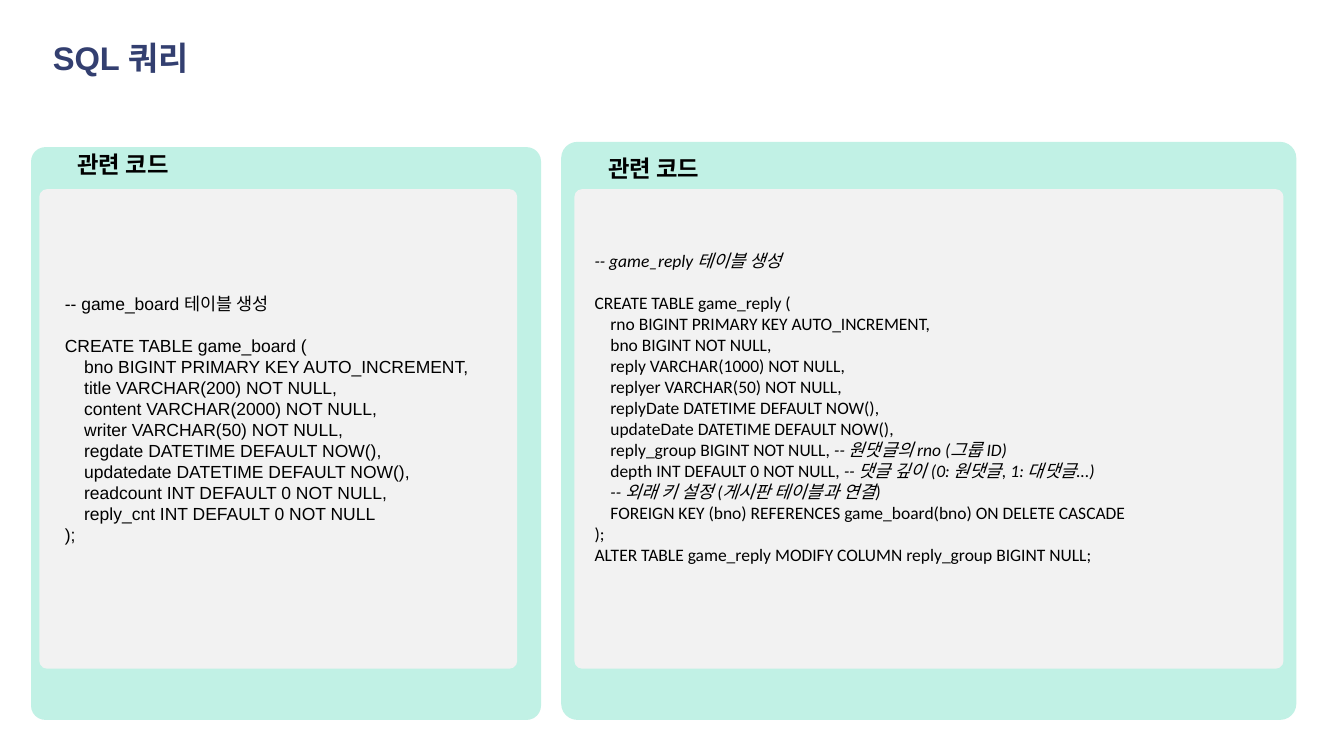
from pptx import Presentation
from pptx.dml.color import RGBColor
from pptx.enum.shapes import MSO_SHAPE
from pptx.util import Cm, Pt

BOARD = """-- game_board 테이블 생성
CREATE TABLE game_board (
    bno BIGINT PRIMARY KEY AUTO_INCREMENT,
    title VARCHAR(200) NOT NULL,
    content VARCHAR(2000) NOT NULL,
    writer VARCHAR(50) NOT NULL,
    regdate DATETIME DEFAULT NOW(),
    updatedate DATETIME DEFAULT NOW(),
    readcount INT DEFAULT 0 NOT NULL,
    reply_cnt INT DEFAULT 0 NOT NULL
);"""

REPLY = """-- game_reply 테이블 생성
CREATE TABLE game_reply (
    rno BIGINT PRIMARY KEY AUTO_INCREMENT,
    bno BIGINT NOT NULL,
    reply VARCHAR(1000) NOT NULL,
    replyer VARCHAR(50) NOT NULL,
    replyDate DATETIME DEFAULT NOW(),
    updateDate DATETIME DEFAULT NOW(),
    reply_group BIGINT NOT NULL, -- 원댓글의 rno (그룹 ID)
    depth INT DEFAULT 0 NOT NULL, -- 댓글 깊이 (0: 원댓글, 1: 대댓글...)
    -- 외래 키 설정 (게시판 테이블과 연결)
    FOREIGN KEY (bno) REFERENCES game_board(bno) ON DELETE CASCADE
);
ALTER TABLE game_reply MODIFY COLUMN reply_group BIGINT NULL;"""


def paint(item, color):
    """Give a fill or a font colour format a solid hex colour."""
    item.rgb = RGBColor.from_string(color)


def style(target, form):
    """Set every attribute named in a dict of format values."""
    for key, value in form.items():
        setattr(target, key, value)


def write(par, text, color="000000", **form):
    """Add one run of formatted text to a paragraph."""
    run = par.add_run()
    run.text = text
    style(run.font, form)
    paint(run.font.color, color)


def frame(slide, box, wrap=False):
    """Add a text box without margins and return its text frame."""
    text = slide.shapes.add_textbox(*map(Cm, box)).text_frame
    style(text, {"word_wrap": wrap, "margin_left": 0, "margin_top": 0,
                 "margin_right": 0, "margin_bottom": 0})
    return text


def label(slide, box, text, size, color="000000"):
    """Add a bold one-line heading."""
    par = frame(slide, box).paragraphs[0]
    par.line_spacing = Pt(size == 28 and 35 or 17.5)
    write(par, text, color, name="Arial", size=Pt(size), bold=True)


def card(slide, box, color, curve):
    """Add a plain rounded rectangle."""
    shape = slide.shapes.add_shape(MSO_SHAPE.ROUNDED_RECTANGLE, *map(Cm, box))
    shape.adjustments[0] = curve
    shape.shadow.inherit = False
    shape.fill.solid()
    paint(shape.fill.fore_color, color)
    shape.line.fill.background()


def listing(slide, box, code, font, slant):
    """Add code lines, with the comments slanted if asked."""
    text = frame(slide, box, True)
    for row, line in enumerate(code.split("\n")):
        par = text.add_paragraph() if row else text.paragraphs[0]
        style(par, {"line_spacing": Pt(18), "space_after": Pt(0 if row else 18)})
        lead, mark, note = line.partition("--")
        for part, tilt in ((lead, False), (mark + note, slant)):
            if part:
                write(par, part, name=font, size=Pt(15), italic=tilt)


def panel(slide, box, head, inner, body, code, font, slant):
    """Build one code panel, its parts offset from the panel's corner."""
    left, top = box[:2]

    def place(x, y, wide, high):
        """Shift a box by the panel's corner."""
        return left + x, top + y, wide, high

    card(slide, box, "C1F1E5", 0.028)
    label(slide, place(*head, 4.98, 0.71), "관련 코드", 20)
    card(slide, place(*inner, 14.5), "F2F2F2", 0.016)
    listing(slide, place(*body), code, font, slant)


def main():
    """Build and save the slide."""
    deck = Presentation()
    style(deck, {"slide_width": Cm(40.64), "slide_height": Cm(22.86)})
    slide = deck.slides.add_slide(deck.slide_layouts[6])
    label(slide, (1.6, 1.09, 13.94, 1.24), "SQL 쿼리", 28, "333F70")
    panel(slide, (0.94, 4.45, 15.42, 17.32), (1.4, 0.33), (0.25, 1.27, 14.45),
          (1.02, 4.42, 12.67, 8.28), BOARD, "Arial", False)
    panel(slide, (16.97, 4.29, 22.23, 17.48), (1.42, 0.59), (0.4, 1.43, 21.44),
          (1.01, 3.28, 21.18, 11), REPLY, "Calibri", True)
    deck.save("out.pptx")


if __name__ == "__main__":
    main()
